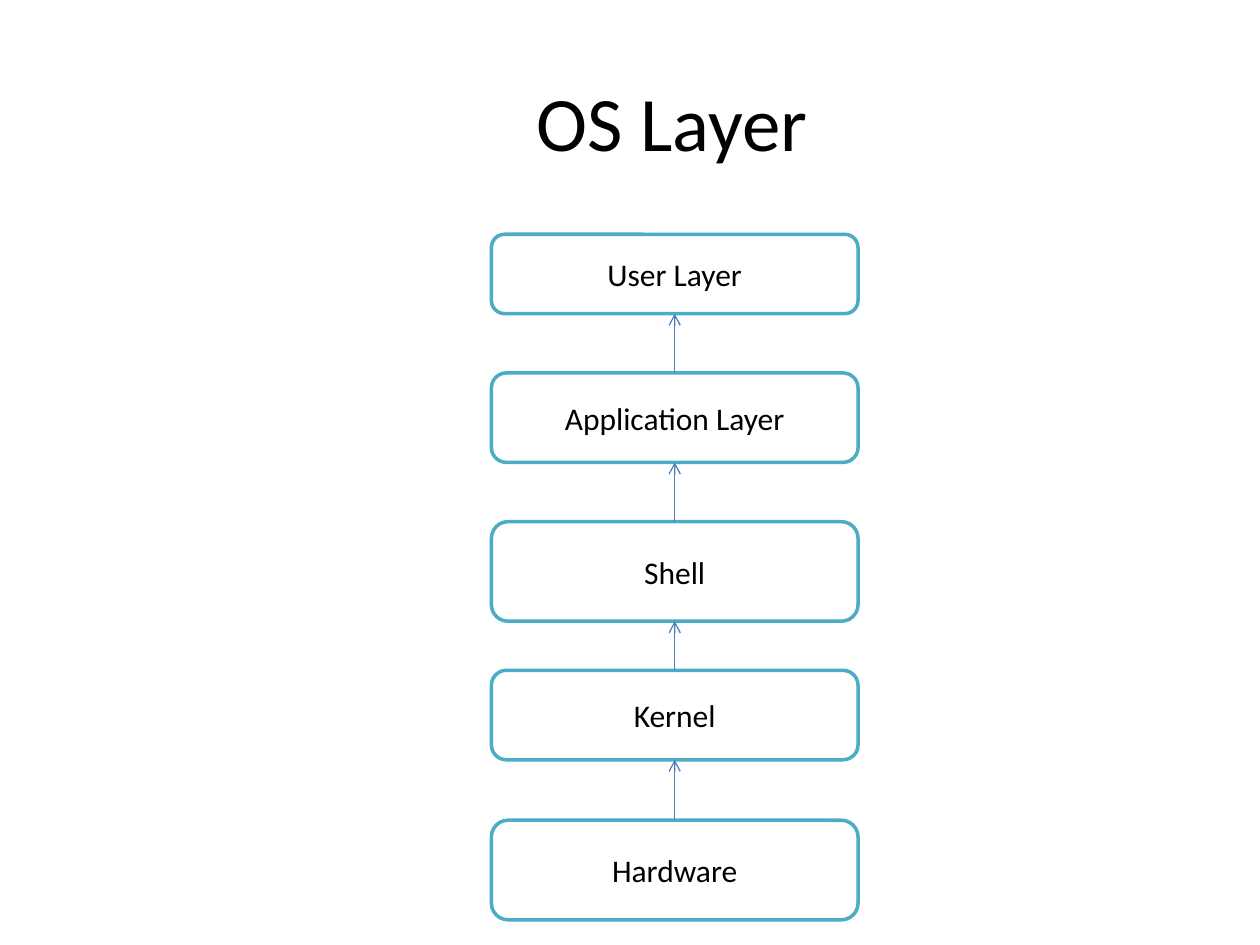
from lxml import etree
from pptx import Presentation
from pptx import util as u
from pptx.dml.color import RGBColor
from pptx.enum import shapes, text
from pptx.oxml.ns import qn

TITLE = "OS Layer"
# name, top and height in inches, from the bottom layer up
LAYERS = [
    ("Hardware", 6.51, 0.79),
    ("Kernel", 5.32, 0.71),
    ("Shell", 4.14, 0.79),
    ("Application Layer", 2.96, 0.71),
    ("User Layer", 1.86, 0.63),
]
LEFT, WIDTH = 3.9, 2.91
TOP_SITE, BOTTOM_SITE = 0, 2
BLACK, WHITE, TEAL, BLUE = "000000", "FFFFFF", "4BACC6", "4B7EBC"


def rgb(color):
    return RGBColor.from_string(color)


def write(sp, words, size, color=BLACK, font="Calibri"):
    tf = sp.text_frame
    tf.word_wrap = True
    tf.vertical_anchor = text.MSO_ANCHOR.MIDDLE
    p = tf.paragraphs[0]
    p.alignment = text.PP_ALIGN.CENTER
    r = p.add_run()
    r.text = words
    r.font.size, r.font.name = u.Pt(size), font
    r.font.color.rgb = rgb(color)


def add_layer(s, name, top, height):
    sp = s.shapes.add_shape(shapes.MSO_SHAPE.ROUNDED_RECTANGLE,
                            *map(u.Inches, (LEFT, top, WIDTH, height)))
    sp.shadow.inherit = False
    sp.fill.solid()
    sp.fill.fore_color.rgb = rgb(WHITE)
    sp.line.color.rgb = rgb(TEAL)
    sp.line.width = u.Pt(2)
    write(sp, name, 18)
    return sp


def add_arrow(s, lower, upper):
    line = s.shapes.add_connector(shapes.MSO_CONNECTOR.STRAIGHT, 0, 0, 0, 0)
    line.begin_connect(lower, TOP_SITE)
    line.end_connect(upper, BOTTOM_SITE)
    line.line.color.rgb = rgb(BLUE)
    line.line.width = u.Pt(0.75)
    etree.SubElement(line.line._get_or_add_ln(), qn("a:tailEnd"), type="arrow")
    etree.SubElement(line._element.spPr, qn("a:effectLst"))


def main():
    prs = Presentation()
    prs.slide_width, prs.slide_height = u.Inches(10), u.Inches(7.5)
    s = prs.slides.add_slide(prs.slide_layouts[5])

    title = s.shapes.title
    title.left, title.top, title.width, title.height = map(
        u.Inches, (0.92, 0.33, 8.83, 1.25))
    write(title, TITLE, 44)

    boxes = [add_layer(s, *layer) for layer in LAYERS]
    for lower, upper in zip(boxes, boxes[1:]):
        add_arrow(s, lower, upper)
    prs.save("out.pptx")


if __name__ == "__main__":
    main()
